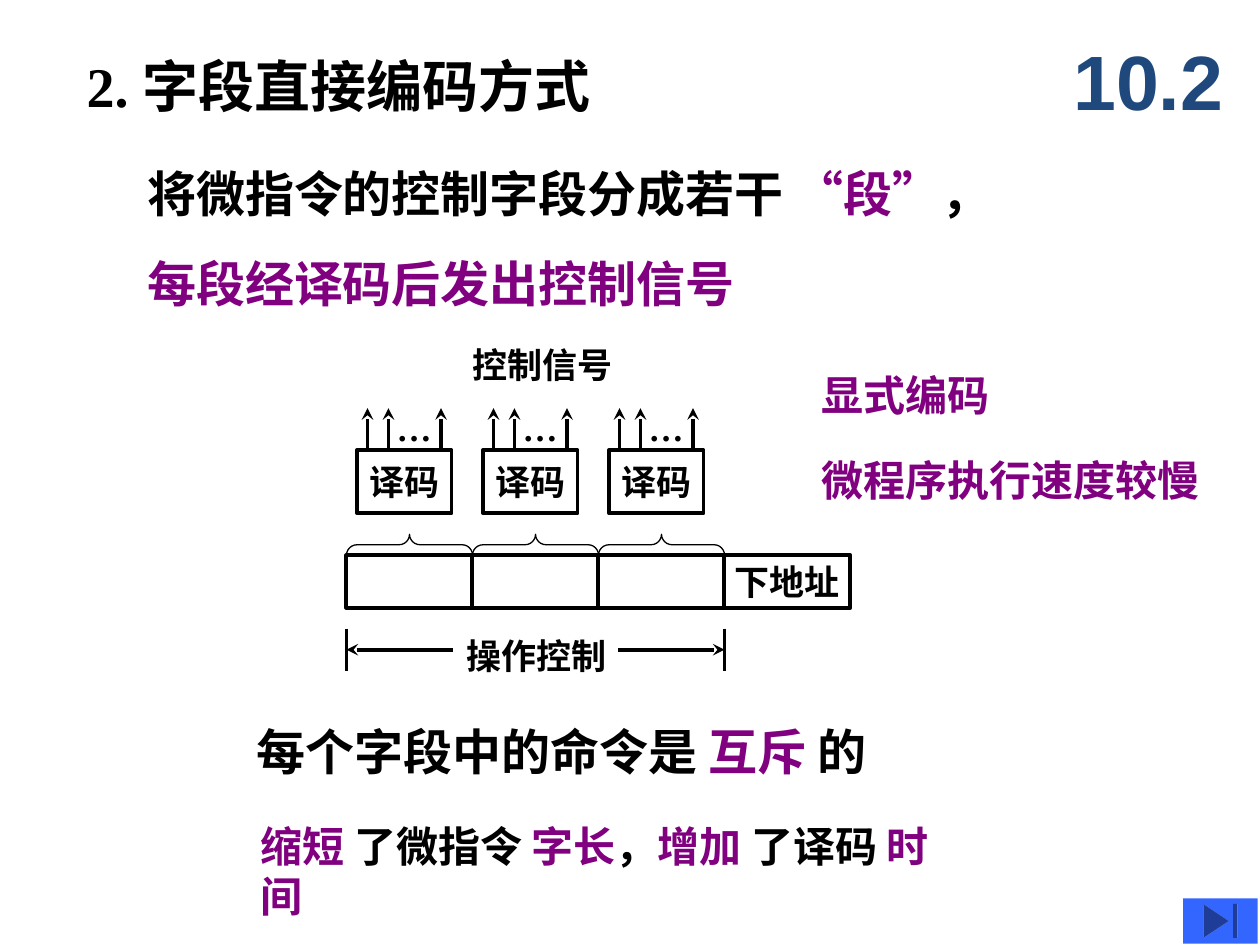
import lxml.etree
import pptx
import pptx.dml.color
import pptx.enum.shapes
import pptx.enum.text
import pptx.oxml.ns
import pptx.util

WIDTH, HEIGHT = 10, 7.5
UNIT = 1 / 12  # grid step in inches
COLORS = {"black": "000000", "purple": "800080", "navy": "1F497D", "button": "3366FF"}
SHAPES = pptx.enum.shapes.MSO_SHAPE
ALIGN = pptx.enum.text.PP_ALIGN
ANCHOR = pptx.enum.text.MSO_ANCHOR
SERIF, SANS, ARIAL = "Times New Roman", "DejaVu Sans", "Arial"


def inches(*values):
    return [pptx.util.Inches(value) for value in values]


def color(name):
    return pptx.dml.color.RGBColor.from_string(COLORS[name])


def write(shape, paragraphs, size=20, font=SERIF, wrap=False, align=ALIGN.LEFT,
          anchor=ANCHOR.TOP, gap=0):
    """Each paragraph is a list of runs: (text, colour) or (text, colour, font)."""
    frame = shape.text_frame
    frame.word_wrap = wrap
    frame.vertical_anchor = anchor
    for index, runs in enumerate(paragraphs):
        paragraph = frame.add_paragraph() if index else frame.paragraphs[0]
        paragraph.alignment = align
        if index:
            paragraph.space_before = pptx.util.Pt(gap)
        for text, run_color, *run_font in runs:
            run = paragraph.add_run()
            run.text = text
            run.font.size = pptx.util.Pt(size)
            run.font.bold = True
            run.font.name = run_font[0] if run_font else font
            run.font.color.rgb = color(run_color)


def add_text(slide, box, paragraphs, **style):
    write(slide.shapes.add_textbox(*inches(*box)), paragraphs, **style)


def add_outline(slide, kind, box, width=2.25):
    shape = slide.shapes.add_shape(kind, *inches(*box))
    shape.shadow.inherit = False
    shape.fill.background()
    shape.line.color.rgb = color("black")
    shape.line.width = pptx.util.Pt(width)
    return shape


def add_line(slide, start, end, arrow=False):
    line = slide.shapes.add_connector(
        pptx.enum.shapes.MSO_CONNECTOR.STRAIGHT, *inches(*start, *end))
    line.line.color.rgb = color("black")
    line.line.width = pptx.util.Pt(2.25)
    qn = pptx.oxml.ns.qn
    if arrow:
        lxml.etree.SubElement(line.line._get_or_add_ln(), qn("a:tailEnd"), type="stealth")
    lxml.etree.SubElement(line._element.spPr, qn("a:effectLst"))


def add_field(slide, left, top):
    """One field of the microinstruction with its brace, decoder and signals."""
    def at(column, row):
        return left + column * UNIT, top + row * UNIT

    decoder = add_outline(slide, SHAPES.RECTANGLE, (*at(1, 4), 9 * UNIT, 6 * UNIT))
    write(decoder, [[("译码", "black")]], align=ALIGN.CENTER, anchor=ANCHOR.MIDDLE)
    for column in (2, 4, 9):
        add_line(slide, at(column, 4), at(column, 0), arrow=True)
    add_text(slide, (*at(3.6, -0.8), 0.48, 0.44), [[("…", "black")]])
    add_outline(slide, SHAPES.RECTANGLE, (*at(0, 14), 12 * UNIT, 5 * UNIT))
    brace = add_outline(slide, SHAPES.LEFT_BRACE,
                        (*at(5, 7), 2 * UNIT, 12 * UNIT), width=0.75)
    brace.rotation = 90
    brace.adjustments[0] = 0.5


def add_diagram(slide, left, top, fields=3):
    def at(column, row):
        return left + column * UNIT, top + row * UNIT

    for index in range(fields):
        add_field(slide, *at(12 * index, 0))
    end = 12 * fields
    address = add_outline(slide, SHAPES.RECTANGLE, (*at(end, 14), 12 * UNIT, 5 * UNIT))
    write(address, [[("下地址", "black")]], align=ALIGN.CENTER, anchor=ANCHOR.MIDDLE)
    for edge, inner in ((0, 10.1), (end, end - 10.1)):
        add_line(slide, at(edge, 21), at(edge, 25))
        add_line(slide, at(inner, 23), at(edge, 23), arrow=True)
    add_text(slide, (*at(10.2, 21), 1.31, 0.44), [[("操作控制", "black")]])
    add_text(slide, (*at(10.8, -6.8), 1.31, 0.44), [[("控制信号", "black")]])


def add_heading(slide, left, top):
    add_text(slide, (left, top, 8.66, 0.64),
             [[("2. ", "black", SERIF), ("字段直接编码方式", "black")]],
             size=32, font=SANS, wrap=True)
    add_text(slide, (left + 7.83, top - 0.19, 1.58, 0.92), [[("10.2", "navy")]],
             size=44, font=ARIAL, wrap=True, anchor=ANCHOR.MIDDLE)


def add_introduction(slide, left, top):
    add_text(slide, (left, top, 8.35, 1.28), [
        [("将微指令的控制字段分成若干 ", "black"), ("“", "purple", ARIAL),
         ("段", "purple"), ("”", "purple", ARIAL), ("，", "black")],
        [("每段经译码后发出控制信号", "purple")],
    ], size=28, font=SANS, wrap=True, gap=17.5)


def add_remarks(slide, left, top):
    add_text(slide, (left, top, 2.36, 0.5), [[("显式编码", "purple")]], size=24, wrap=True)
    add_text(slide, (left, top + 0.68, 3.2, 0.5), [[("微程序执行速度较慢", "purple")]], size=24)


def add_conclusion(slide, left, top):
    add_text(slide, (left, top, 5.75, 0.57), [
        [("每个字段中的命令是 ", "black"), ("互斥 ", "purple"), ("的", "black")],
    ], size=28, font=SANS, wrap=True)
    add_text(slide, (left + 0.03, top + 0.78, 5.83, 0.5), [
        [("缩短 ", "purple"), ("了微指令 ", "black"), ("字长", "purple"), ("，", "black"),
         ("增加 ", "purple"), ("了译码 ", "black"), ("时间", "purple")],
    ], size=24)


def add_end_button(slide, left, top):
    button = slide.shapes.add_shape(SHAPES.ACTION_BUTTON_END, *inches(left, top, 0.59, 0.36))
    button.shadow.inherit = False
    button.fill.solid()
    button.fill.fore_color.rgb = color("button")
    button.line.fill.background()


def main():
    presentation = pptx.Presentation()
    presentation.slide_width, presentation.slide_height = inches(WIDTH, HEIGHT)
    slide = presentation.slides.add_slide(presentation.slide_layouts[6])
    add_heading(slide, 0.59, 0.36)
    add_introduction(slide, 1.07, 1.25)
    add_diagram(slide, 2.75, 3.24)
    add_remarks(slide, 6.42, 2.88)
    add_conclusion(slide, 1.94, 5.68)
    add_end_button(slide, 9.39, 7.13)
    presentation.save("out.pptx")


if __name__ == "__main__":
    main()
